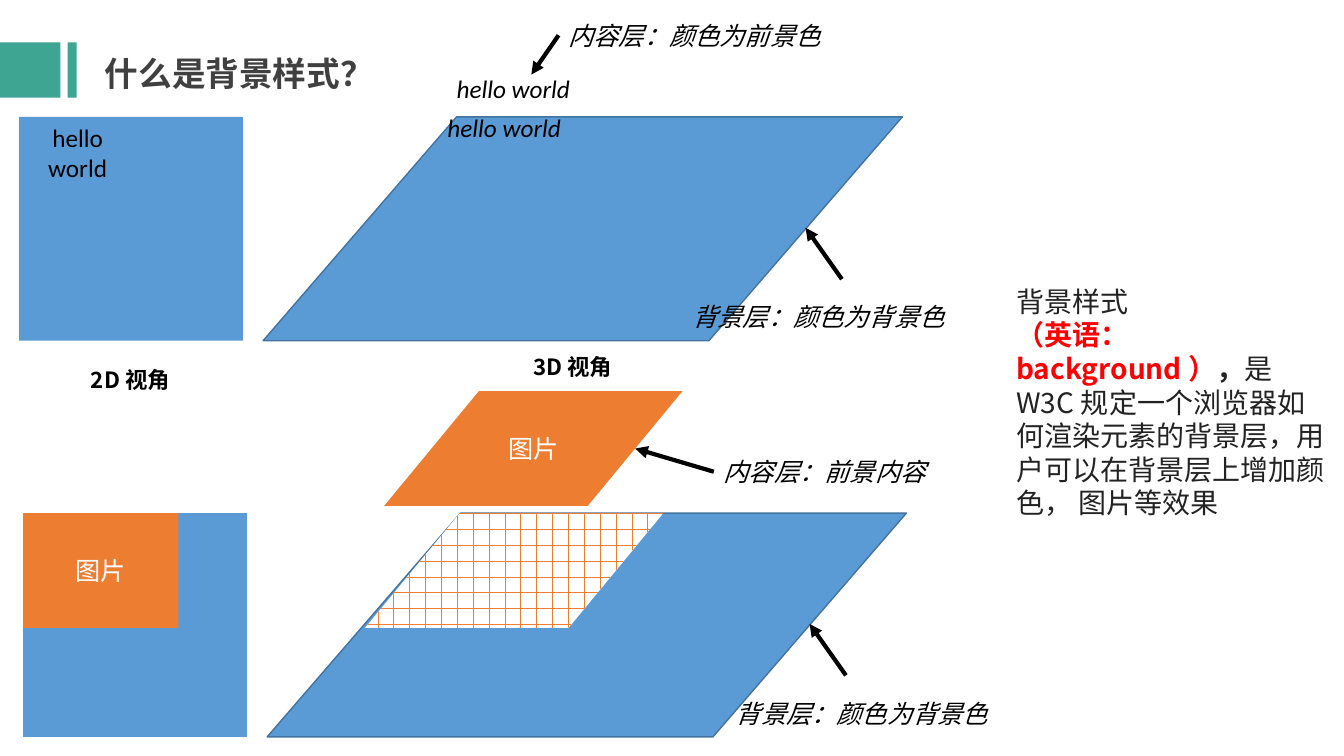
from lxml.etree import SubElement
from pptx import Presentation
from pptx.dml.color import RGBColor
from pptx.enum.dml import MSO_PATTERN as Pattern
from pptx.enum.shapes import MSO_CONNECTOR as Connector, MSO_SHAPE as Preset
from pptx.enum.text import MSO_ANCHOR as Anchor, PP_ALIGN as Align
from pptx.oxml.ns import qn
from pptx.util import Inches, Pt

COLORS = {
    "green": "3DA591", "blue": "5B9BD5", "edge": "43739E", "orange": "ED7D31",
    "white": "FFFFFF", "black": "000000", "title": "404040", "body": "222222",
    "red": "FF0000",
}
HAN = "Noto Sans CJK SC"
LATIN = "Calibri"


def rgb(name):
    """Return the named colour."""
    return RGBColor.from_string(COLORS[name])


def style(font, size, color, face=LATIN, bold=False, italic=False):
    """Set the look of a font."""
    font.size, font.name, font.bold, font.italic = Pt(size), face, bold, italic
    font.color.rgb = rgb(color)


def add_block(slide, box, color, skew=None, edge=None, caption=None):
    """Add a filled rectangle, or a parallelogram when skew is given."""
    preset = Preset.RECTANGLE if skew is None else Preset.PARALLELOGRAM
    block = slide.shapes.add_shape(preset, *map(Inches, box))
    block.shadow.inherit = False
    block.fill.solid()
    block.fill.fore_color.rgb = rgb(color)
    if skew is not None:
        block.adjustments[0] = skew
    if edge:
        block.line.color.rgb = rgb(edge)
        block.line.width = Pt(1)
    else:
        block.line.fill.background()
    if caption:
        block.text_frame.vertical_anchor = Anchor.MIDDLE
        paragraph = block.text_frame.paragraphs[0]
        paragraph.text = caption
        paragraph.alignment = Align.CENTER
        style(paragraph.font, 18, "white")
    return block


def add_label(slide, box, text, align=Align.LEFT, size=18, **look):
    """Add one line of black text."""
    frame = slide.shapes.add_textbox(*map(Inches, box)).text_frame
    frame.word_wrap = True
    paragraph = frame.paragraphs[0]
    paragraph.text = text
    paragraph.alignment = align
    style(paragraph.font, size, "black", **look)


def add_arrow(slide, start, end):
    """Add a thick black arrow."""
    arrow = slide.shapes.add_connector(
        Connector.STRAIGHT, *map(Inches, (*start, *end)))
    arrow.line.color.rgb = rgb("black")
    arrow.line.width = Pt(3)
    SubElement(arrow.line._get_or_add_ln(), qn("a:tailEnd"), type="triangle")
    SubElement(arrow._element.spPr, qn("a:effectLst"))


def add_title(slide):
    """Add the green marks and the heading."""
    for left, width in ((0, 0.6), (0.67, 0.09)):
        add_block(slide, (left, 0.42, width, 0.55), "green")
    title = slide.shapes.title
    title.left, title.top, title.width, title.height = map(
        Inches, (0.94, 0.47, 3.28, 0.5))
    title.text_frame.vertical_anchor = Anchor.MIDDLE
    paragraph = title.text_frame.paragraphs[0]
    paragraph.text = "什么是背景样式？"
    paragraph.alignment = Align.LEFT
    style(paragraph.font, 24, "title", HAN, bold=True)


def add_background_layer(slide, left, top):
    """Add the flat square, its slanted view and the arrow to it."""
    add_block(slide, (left, top, 2.22, 2.22), "blue")
    add_block(slide, (left + 2.42, top, 6.34, 2.22), "blue", 0.864, "edge")
    add_arrow(slide, (left + 8.16, top + 1.61), (left + 7.8, top + 1.1))


def add_text_scene(slide):
    """Add the upper scene, with text as content."""
    add_background_layer(slide, 0.19, 1.16)
    add_label(slide, (0.31, 3.58, 1.97, 0.37), "2D视角", Align.CENTER, 16,
              face=HAN, bold=True)
    add_label(slide, (4.83, 3.45, 1.7, 0.37), "3D视角", Align.CENTER, 16,
              face=HAN, bold=True)
    add_label(slide, (0.32, 1.16, 0.9, 0.27), "hello world", Align.CENTER)
    for box in ((4.43, 0.68, 1.52, 0.42), (4.34, 1.07, 1.66, 0.4)):
        add_label(slide, box, "hello world", italic=True)
    add_arrow(slide, (5.54, 0.35), (5.27, 0.74))
    add_label(slide, (5.54, 0.15, 2.98, 0.4), "内容层：颜色为前景色", italic=True)
    add_label(slide, (6.77, 2.94, 2.8, 0.4), "背景层：颜色为背景色", italic=True)


def add_image_scene(slide):
    """Add the lower scene, with an image as content."""
    add_background_layer(slide, 0.23, 5.09)
    add_arrow(slide, (7.08, 4.68), (6.3, 4.45))
    add_label(slide, (7.08, 4.48, 2.55, 0.4), "内容层：前景内容", italic=True)
    add_label(slide, (7.2, 6.88, 2.81, 0.4), "背景层：颜色为背景色", italic=True)
    add_block(slide, (0.23, 5.09, 1.54, 1.14), "orange", caption="图片")
    gap = add_block(slide, (3.62, 5.09, 2.96, 1.14), "white", 0.825)
    gap.fill.patterned()
    gap.fill.pattern = Pattern.DOTTED_GRID
    gap.fill.fore_color.rgb = rgb("orange")
    gap.fill.back_color.rgb = rgb("white")
    add_block(slide, (3.81, 3.88, 2.96, 1.14), "orange", 0.825, caption="图片")


def add_definition(slide):
    """Add the definition of background style."""
    frame = slide.shapes.add_textbox(
        *map(Inches, (9.98, 2.77, 3.31, 2.12))).text_frame
    frame.word_wrap = True
    term = frame.paragraphs[0]
    term.text = "背景样式"
    style(term.font, 20, "body", HAN)
    meaning = frame.add_paragraph()
    for text, color, bold in (
            ("（英语：background）", "red", True),
            ("，", "body", True),
            ("是W3C规定一个浏览器如何渲染元素的背景层，用户可以在背景层上增加颜色， 图片等效果",
             "body", False)):
        run = meaning.add_run()
        run.text = text
        style(run.font, 20, color, HAN, bold)


def main():
    """Build and save the slide."""
    deck = Presentation()
    deck.slide_width, deck.slide_height = Inches(13.33), Inches(7.5)
    slide = deck.slides.add_slide(deck.slide_layouts[5])
    add_title(slide)
    add_text_scene(slide)
    add_image_scene(slide)
    add_definition(slide)
    deck.save("out.pptx")


if __name__ == "__main__":
    main()
